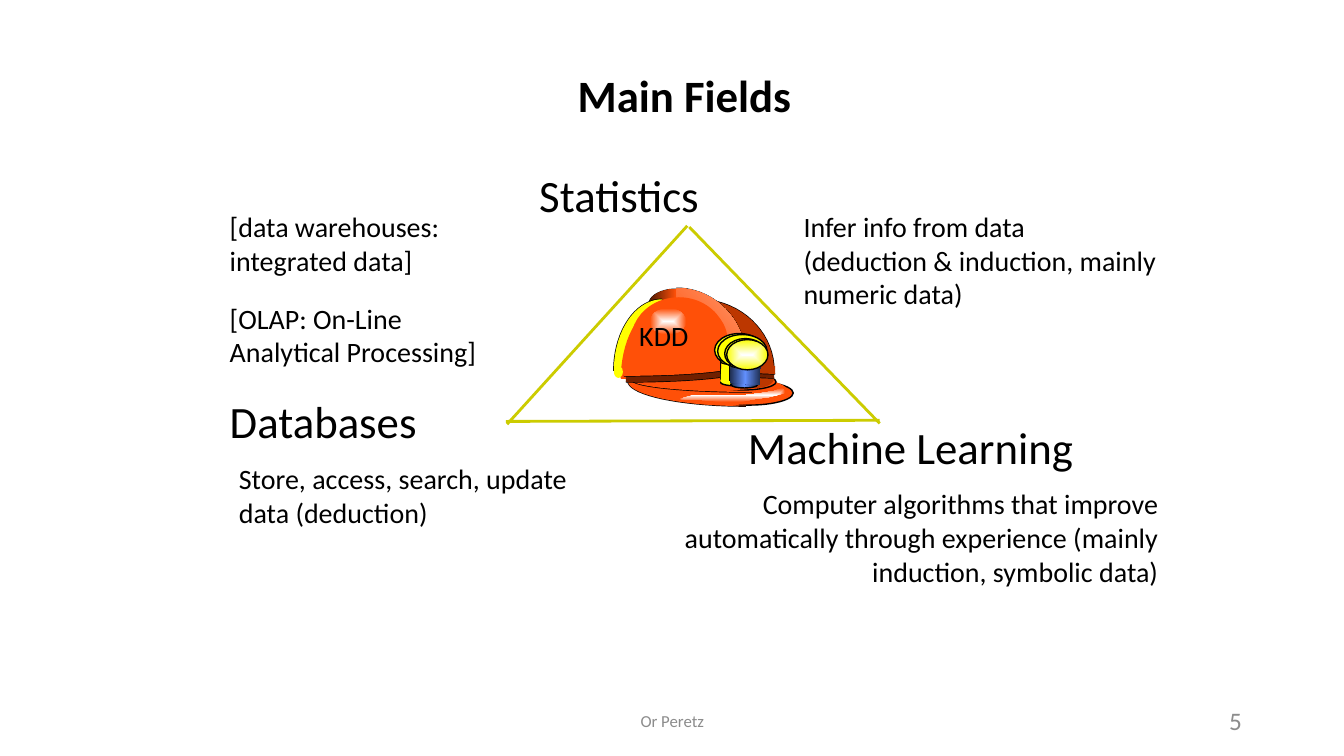
import math

from lxml import etree
from pptx import Presentation
from pptx.dml.color import RGBColor
from pptx.enum import shapes, text
from pptx.oxml import ns
from pptx.util import Cm, Pt

COLOURS = {
    "black": "000000", "grey": "8C8C8C", "olive": "CCCC00", "white": "FFFFFF",
    "orange": "FF5008", "rust": "BC3700", "brown": "712000", "dark": "4C1802",
    "peach": "FF966B", "coral": "FF7339", "yellow": "FFFF00", "lemon": "FAFD00",
    "navy": "1D2B4B", "blue": "618FFD",
}
# Gradients: colours in order, then an angle or None for a centred rectangle
GRADIENTS = {
    "crest back": (("dark", "orange"), 0),
    "crest": (("orange", "peach"), 315),
    "clip": (("orange", "coral"), 0),
    "shine": (("white", "orange"), None),
    "steel": (("navy", "blue", "navy"), 0),
    "glow": (("white", "lemon"), None),
}
LEFT, CENTRE, RIGHT = text.PP_ALIGN.LEFT, text.PP_ALIGN.CENTER, text.PP_ALIGN.RIGHT
HEADING, DETAIL = {"size": Pt(32)}, {"size": Pt(20)}

# Left, top, width, height in cm, then lines, font and alignment
LABELS = [
    (5.66, 9.93, 6.71, 1.83, ["Databases"], HEADING, LEFT),
    (5.89, 11.63, 8.97, 2.26, ["Store, access, search, update data (deduction)"], DETAIL, LEFT),
    (13.46, 4.22, 6.83, 1.83, ["Statistics"], HEADING, LEFT),
    (20.12, 5.28, 9.68, 3.25,
     ["Infer info from data", "(deduction & induction, mainly numeric data)"], DETAIL, LEFT),
    (18.72, 10.57, 8.51, 1.37, ["Machine Learning"], HEADING, LEFT),
    (15.98, 12.27, 13.34, 3.25,
     ["Computer algorithms that improve automatically through experience "
      "(mainly induction, symbolic data)"], DETAIL, RIGHT),
    (15.98, 8.03, 1.6, 0.86, ["KDD"], DETAIL, LEFT),
    (5.66, 5.28, 5.7, 1.7, ["[data warehouses:", "integrated data]"], DETAIL, LEFT),
    (5.66, 7.59, 6.6, 1.7, ["[OLAP: On-Line", "Analytical Processing]"], DETAIL, LEFT),
]
TRIANGLE = [(17.32, 5.69, 12.78, 10.69), (12.75, 10.62, 22.17, 10.59),
            (17.37, 5.72, 22.17, 10.67)]

# Helmet parts, back to front, on a fine grid: kind, geometry, fill, outlined.
# An oval or rect has left, top, width, height; a quarter has centre and signed radii.
HELMET_LEFT, HELMET_TOP, HELMET_UNIT = 15.24, 7.11, 0.0254
BRIM_SHINE = [(176, 105), (168, 108), (156, 110), (140, 112), (118, 112), (89, 112),
              (74, 116), (98, 117), (118, 119), (134, 119), (149, 116), (163, 114),
              (179, 110), (179, 108)]
HELMET = [
    ("quarter", (71, 22, -27, -15), "crest back", True),
    ("quarter", (161, 77, -21, 26), None, True),
    ("quarter", (57, 88, -48, -71), "yellow", True),
    ("quarter", (92, 88, 76, -71), "rust", True),
    ("quarter", (140, 98, -117, 25), "orange", True),
    ("oval", (99, 98, 88, 24), "orange", True),
    ("oval", (64, 11, 48, 51), "orange", False),
    ("oval", (57, 93, 124, 29), "orange", False),
    ("quarter", (146, 97, -119, 12), "orange", True),
    ("oval", (105, 91, 65, 16), "orange", True),
    ("oval", (83, 87, 85, 20), "orange", False),
    ("oval", (133, 86, 35, 19), "rust", False),
    ("quarter", (71, 77, 69, -71), "crest", True),
    ("oval", (26, 15, 95, 86), "orange", False),
    ("oval", (56, 24, 66, 68), "orange", False),
    ("oval", (60, 37, 66, 68), "orange", False),
    ("rect", (121, 77, 17, 25), "clip", False),
    ("oval", (10, 80, 76, 19), "orange", False),
    ("oval", (141, 74, 27, 30), "rust", False),
    ("quarter", (63, 96, -47, -76), "orange", False),
    ("oval", (9, 83, 9, 12), "yellow", False),
    ("oval", (45, 26, 36, 26), "shine", False),
    ("oval", (122, 81, 17, 8), "brown", False),
    ("quarter", (21, 87, 118, 12), "brown", True),
    ("quarter", (19, 81, 118, 12), "orange", True),
    ("quarter", (168, 87, -43, 8), "brown", True),
    ("quarter", (169, 83, -43, 8), "rust", True),
    # Lamp
    ("oval", (109, 51, 49, 33), "yellow", True),
    ("oval", (115, 96, 33, 7), "yellow", True),
    ("line", [(115, 79), (115, 97)], None, True),
    ("line", [(148, 80), (148, 96)], None, True),
    ("outline", [(116, 79), (151, 79), (150, 101), (115, 99)], "yellow", False),
    ("oval", (115, 76, 30, 6), "yellow", True),
    ("oval", (112, 52, 49, 33), "yellow", True),
    ("oval", (119, 56, 41, 30), "yellow", True),
    ("oval", (125, 98, 27, 7), "steel", True),
    ("line", [(124, 82), (124, 98)], None, True),
    ("line", [(152, 83), (152, 97)], None, True),
    ("outline", [(125, 82), (155, 82), (154, 102), (124, 100)], "steel", False),
    ("oval", (124, 79, 25, 6), "yellow", True),
    ("oval", (121, 57, 41, 30), "glow", True),
    ("outline", BRIM_SHINE, "shine", False),
]


def rgb(name):
    return RGBColor.from_string(COLOURS[name])


def write(box, lines, font, align, colour="black", spacing=None):
    frame = box.text_frame
    frame.text = "\n".join(lines)
    for para in frame.paragraphs:
        para.alignment = align
        para.space_before = Pt(0)
        para.line_spacing = spacing
        for name, value in {"name": "Calibri", **font}.items():
            setattr(para.font, name, value)
        para.font.color.rgb = rgb(colour)


def add_text(page, left, top, width, height, lines, font, align, colour="black", **frame_format):
    box = page.shapes.add_textbox(Cm(left), Cm(top), Cm(width), Cm(height))
    margins = dict.fromkeys(("margin_left", "margin_right"), Cm(0.13))
    margins.update(margin_top=0, margin_bottom=0, word_wrap=True)
    for name, value in {**margins, **frame_format}.items():
        setattr(box.text_frame, name, value)
    write(box, lines, font, align, colour)


def add_line(parent, x1, y1, x2, y2, colour, width):
    line = parent.shapes.add_connector(
        shapes.MSO_CONNECTOR.STRAIGHT, Cm(x1), Cm(y1), Cm(x2), Cm(y2))
    line.line.color.rgb = rgb(colour)
    line.line.width = Pt(width)
    etree.SubElement(line._element.spPr, ns.qn("a:effectLst"))


def fill_gradient(shape, names, angle):
    shape.fill.background()
    gradient = etree.Element(ns.qn("a:gradFill"), rotWithShape="1")
    stops = etree.SubElement(gradient, ns.qn("a:gsLst"))
    for index, name in enumerate(names):
        position = str(100000 * index // (len(names) - 1))
        stop = etree.SubElement(stops, ns.qn("a:gs"), pos=position)
        etree.SubElement(stop, ns.qn("a:srgbClr"), val=COLOURS[name])
    if angle is None:
        route = etree.SubElement(gradient, ns.qn("a:path"), path="rect")
        etree.SubElement(route, ns.qn("a:fillToRect"), dict.fromkeys("ltrb", "50000"))
    else:
        etree.SubElement(gradient, ns.qn("a:lin"), ang=str(angle * 60000), scaled="0")
    properties = shape._element.spPr
    properties.replace(properties.find(ns.qn("a:noFill")), gradient)


def paint(shape, fill, outlined):
    shape.shadow.inherit = False
    if fill in GRADIENTS:
        fill_gradient(shape, *GRADIENTS[fill])
    elif fill:
        shape.fill.solid()
        shape.fill.fore_color.rgb = rgb(fill)
    else:
        shape.fill.background()
    if outlined:
        shape.line.color.rgb = rgb("black")
        shape.line.width = Pt(1)
    else:
        shape.line.fill.background()


def on_grid(x, y):
    return Cm(HELMET_LEFT + x * HELMET_UNIT), Cm(HELMET_TOP + y * HELMET_UNIT)


def add_outline(group, points, fill, outlined, close=True):
    start, *others = [on_grid(*point) for point in points]
    builder = group.shapes.build_freeform(*start)
    builder.add_line_segments(others, close=close)
    paint(builder.convert_to_shape(), fill, outlined)


def add_quarter(group, x, y, radius_x, radius_y, fill, outlined):
    angles = [math.radians(step) for step in range(0, 91, 5)]
    arc = [(x + radius_x * math.cos(a), y + radius_y * math.sin(a)) for a in angles]
    if outlined:
        add_outline(group, arc, None, True, close=False)
    if fill:
        add_outline(group, arc + [(x, y)], fill, False)


def add_preset(group, kind, geometry, fill, outlined):
    preset = {"oval": shapes.MSO_SHAPE.OVAL, "rect": shapes.MSO_SHAPE.RECTANGLE}[kind]
    left, top, width, height = geometry
    size = [Cm(length * HELMET_UNIT) for length in (width, height)]
    paint(group.shapes.add_shape(preset, *on_grid(left, top), *size), fill, outlined)


def add_helmet(page):
    group = page.shapes.add_group_shape()
    for kind, geometry, fill, outlined in HELMET:
        if kind == "quarter":
            add_quarter(group, *geometry, fill, outlined)
        elif kind in ("outline", "line"):
            add_outline(group, geometry, fill, outlined, close=kind == "outline")
        else:
            add_preset(group, kind, geometry, fill, outlined)


def add_title(page):
    title = page.shapes.title
    box = {"left": 1.12, "top": 0.89, "width": 32.26, "height": 18.01}
    for name, value in box.items():
        setattr(title, name, Cm(value))
    title.text_frame.auto_size = text.MSO_AUTO_SIZE.NONE
    title.text_frame.vertical_anchor = text.MSO_ANCHOR.TOP
    write(title, ["Main Fields"], {"size": Pt(32), "bold": True}, CENTRE, spacing=1.5)


def main():
    deck = Presentation()
    deck.slide_width, deck.slide_height = Cm(33.87), Cm(19.05)
    page = deck.slides.add_slide(deck.slide_layouts[5])
    add_title(page)
    # Footer
    footer = {"colour": "grey", "vertical_anchor": text.MSO_ANCHOR.MIDDLE,
              "margin_left": Cm(0.25), "margin_right": Cm(0.25)}
    add_text(page, 23.93, 17.65, 7.62, 1.02, ["5"], {"size": Pt(18)}, RIGHT, **footer)
    add_text(page, 11.23, 17.65, 11.43, 1.02, ["Or Peretz"], {"size": Pt(12)}, CENTRE, **footer)
    # Helmet inside the triangle of fields
    add_helmet(page)
    for side in TRIANGLE:
        add_line(page, *side, "olive", 2)
    for label in LABELS:
        add_text(page, *label)
    deck.save("out.pptx")


if __name__ == "__main__":
    main()
